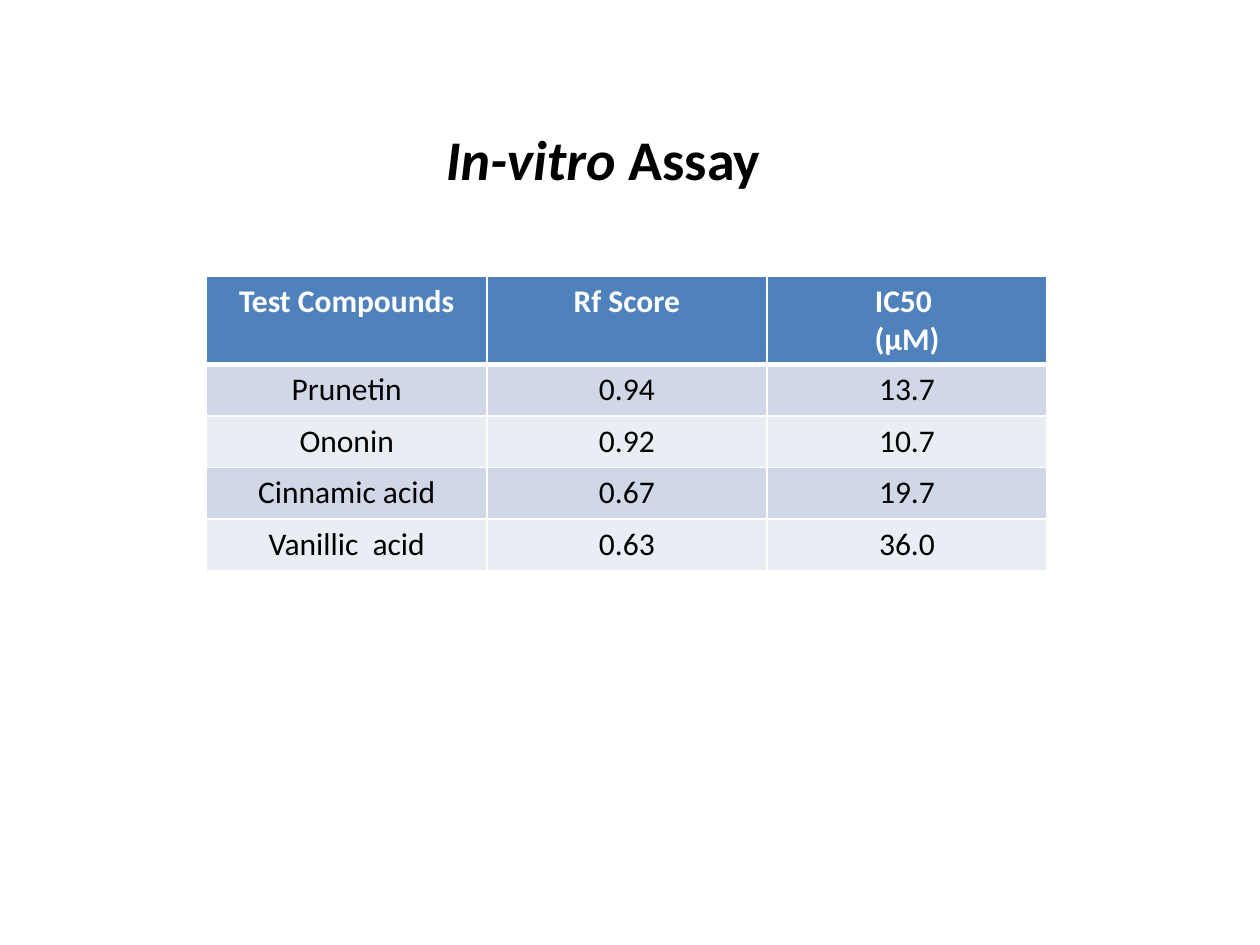
from lxml import etree
from pptx import Presentation
from pptx.dml.color import RGBColor
from pptx.enum.text import MSO_AUTO_SIZE, PP_ALIGN
from pptx.oxml.ns import qn
from pptx.util import Inches, Pt

CENTER = PP_ALIGN.CENTER
FIT = MSO_AUTO_SIZE.SHAPE_TO_FIT_TEXT
FONT = "Calibri"
BLACK, WHITE, BLUE = "000000", "FFFFFF", "4F81BD"
BANDS = ("D0D8E8", "E9EDF4")
ROW, HEAD = 0.41, 0.7
ASSAY = [
    ("Test Compounds", "Rf Score", "IC50 \n(µM)"),
    ("Prunetin", "0.94", "13.7"),
    ("Ononin", "0.92", "10.7"),
    ("Cinnamic acid", "0.67", "19.7"),
    ("Vanillic  acid", "0.63", "36.0"),
]


def color(code):
    return RGBColor.from_string(code)


def style(font, size, code, bold=False, italic=False):
    font.name, font.size = FONT, Pt(size)
    font.bold, font.italic = bold, italic
    font.color.rgb = color(code)


def add_title(slide, left, top, width, height):
    box = slide.shapes.add_textbox(*map(Inches, (left, top, width, height)))
    frame = box.text_frame
    frame.word_wrap = False
    frame.auto_size = FIT
    for text, italic in (("In-vitro", True), (" Assay", False)):
        run = frame.paragraphs[0].add_run()
        run.text = text
        style(run.font, 32, BLACK, True, italic)


def add_edges(cell, base):
    # Border lines must come before the fill in the cell properties
    props = cell._tc.get_or_add_tcPr()
    for spot, side in enumerate("LRTB"):
        width = base if side == "B" else 1
        line = etree.Element(qn(f"a:ln{side}"), w=str(Pt(width)))
        fill = etree.SubElement(line, qn("a:solidFill"))
        etree.SubElement(fill, qn("a:srgbClr"), val=WHITE)
        props.insert(spot, line)


def fill_cell(cell, text, row):
    head = row == 0
    cell.text_frame.text = text
    for para in cell.text_frame.paragraphs:
        para.alignment = CENTER
        for run in para.runs:
            style(run.font, 18, WHITE if head else BLACK, head)
    cell.fill.solid()
    cell.fill.fore_color.rgb = color(BLUE if head else BANDS[(row - 1) % 2])
    add_edges(cell, 3 if head else 1)


def add_grid(slide, left, top, width):
    rows, cols = len(ASSAY), len(ASSAY[0])
    height = HEAD + ROW * (rows - 1)
    place = map(Inches, (left, top, width, height))
    table = slide.shapes.add_table(rows, cols, *place).table
    for row, texts in enumerate(ASSAY):
        table.rows[row].height = Inches(ROW if row else HEAD)
        for col, text in enumerate(texts):
            fill_cell(table.cell(row, col), text, row)
    # The line under the header is also the top of the first data row
    for col in range(cols):
        props = table.cell(1, col)._tc.tcPr
        props.find(qn("a:lnT")).set("w", str(Pt(3)))


def main():
    deck = Presentation()
    deck.slide_width, deck.slide_height = Inches(10), Inches(7.5)
    slide = deck.slides.add_slide(deck.slide_layouts[6])
    # Heading
    add_title(slide, 3.44, 0.94, 2.83, 0.64)
    # Assay results
    add_grid(slide, 1.64, 2.19, 6.67)
    deck.save("out.pptx")


if __name__ == "__main__":
    main()
